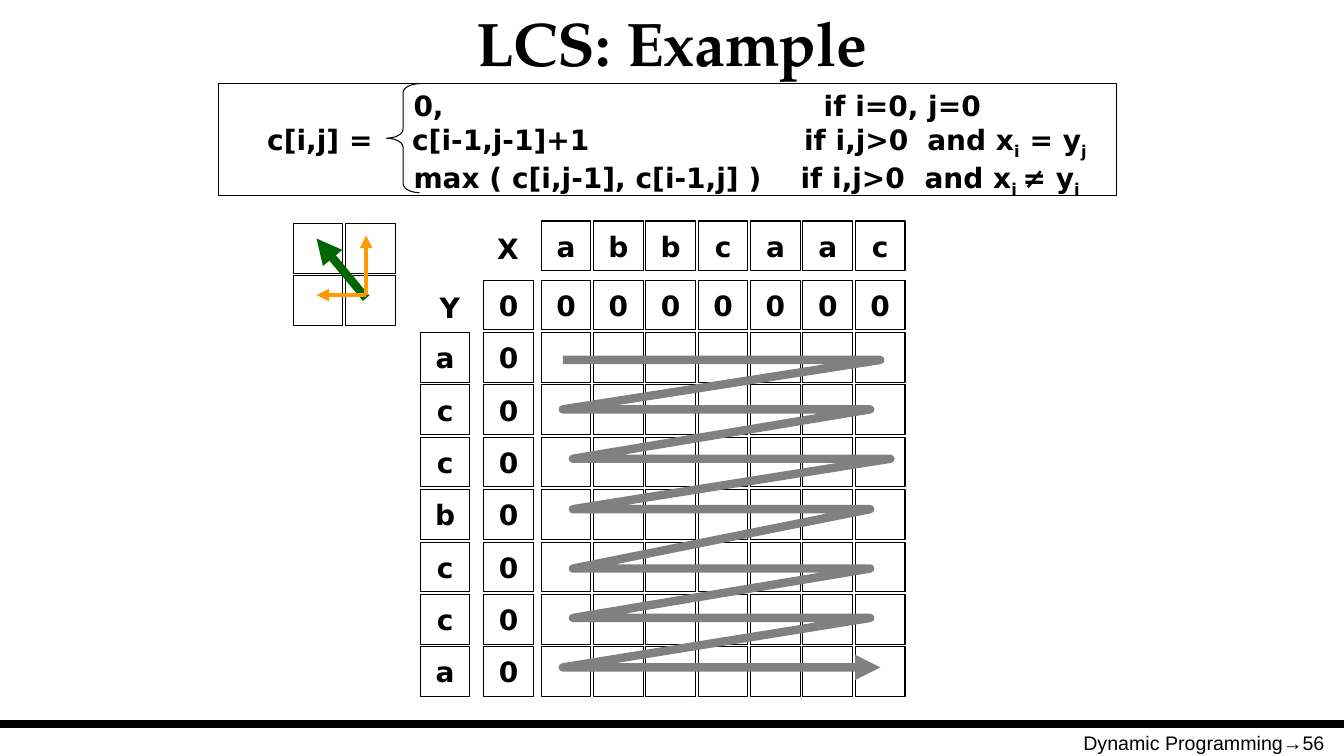
from dataclasses import dataclass

from lxml import etree
from pptx import Presentation
from pptx.dml.color import RGBColor
from pptx.enum.shapes import MSO_CONNECTOR, MSO_SHAPE
from pptx.enum.text import MSO_ANCHOR, PP_ALIGN
from pptx.oxml.ns import qn
from pptx.util import Pt

RECT, BRACE = MSO_SHAPE.RECTANGLE, MSO_SHAPE.LEFT_BRACE
STRAIGHT = MSO_CONNECTOR.STRAIGHT
LEFT, CENTER, RIGHT = PP_ALIGN.LEFT, PP_ALIGN.CENTER, PP_ALIGN.RIGHT
TOP, MIDDLE = MSO_ANCHOR.TOP, MSO_ANCHOR.MIDDLE


@dataclass(frozen=True)
class Theme:
    ink: str = "000000"
    diagonal: str = "006600"
    side: str = "FF9900"
    route: str = "808080"
    title_font: str = "TeX Gyre Pagella"
    body_font: str = "DejaVu Sans"
    footer_font: str = "Arial"
    title_size: float = 44
    body_size: float = 20
    footer_size: float = 14
    thin: float = 0.75
    medium: float = 3
    thick: float = 6


T = Theme()
CELL = 35.5
PITCH = 37.4


def write(p, text, size=T.body_size, font=T.body_font, bold=True, sub=False):
    r = p.add_run()
    r.text = text
    r.font.size, r.font.name, r.font.bold = Pt(size), font, bold
    r.font.color.rgb = RGBColor.from_string(T.ink)
    if sub:
        r.font._element.set("baseline", "-25000")


def fill_text(sp, text, align=CENTER, anchor=MIDDLE, wrap=False, **fmt):
    tf = sp.text_frame
    tf.word_wrap, tf.vertical_anchor = wrap, anchor
    p = tf.paragraphs[0]
    p.alignment = align
    write(p, text, **fmt)


def label(s, box, text, **fmt):
    fill_text(s.shapes.add_textbox(*map(Pt, box)), text, **fmt)


def set_line(sp, color, width, arrow=False):
    sp.line.color.rgb = RGBColor.from_string(color)
    sp.line.width = Pt(width)
    if arrow:
        ln = sp.line._get_or_add_ln()
        etree.SubElement(ln, qn("a:round"))
        etree.SubElement(ln, qn("a:tailEnd"), type="triangle")


def outline(s, kind, box):
    sp = s.shapes.add_shape(kind, *map(Pt, box))
    sp.shadow.inherit = False
    sp.fill.background()
    set_line(sp, T.ink, T.thin)
    return sp


def cell(s, x, y, text=""):
    sp = outline(s, RECT, (x, y, CELL, CELL))
    if text:
        fill_text(sp, text)


def connect(s, start, end, color, width, arrow=False):
    cx = s.shapes.add_connector(STRAIGHT, *map(Pt, start + end))
    set_line(cx, color, width, arrow)
    etree.SubElement(cx._element.spPr, qn("a:effectLst"))


def footer(s, x, y, w, h):
    connect(s, (x, y), (x + w, y), T.ink, T.thick)
    label(s, (x + 689.8, y + 1.4, 263.5, h), "Dynamic Programming→56", align=RIGHT,
          anchor=TOP, wrap=True, size=T.footer_size, font=T.footer_font, bold=False)


def formula(s, x, y, w, h):
    sp = outline(s, RECT, (x, y, w, h))
    tf = sp.text_frame
    tf.word_wrap, tf.vertical_anchor = True, TOP
    # Tab stops, then text pieces alternating normal and subscript
    rows = [
        ((132.5, 425.5), ["\t0,\tif i=0, j=0"]),
        ((28, 131.5, 411.5, 499.5),
         ["\tc[i,j] =\tc[i-1,j-1]+1\tif i,j>0\tand x", "i", " = y", "j"]),
        ((132.5, 409, 497.5),
         ["\tmax ( c[i,j-1], c[i-1,j] )\tif i,j>0\tand x", "i ", "≠ y", "i"]),
    ]
    for n, (stops, pieces) in enumerate(rows):
        p = tf.add_paragraph() if n else tf.paragraphs[0]
        p.alignment = LEFT
        tabs = etree.SubElement(p._p.get_or_add_pPr(), qn("a:tabLst"))
        for stop in stops:
            etree.SubElement(tabs, qn("a:tab"), pos=str(Pt(stop)), algn="l")
        for k, piece in enumerate(pieces):
            write(p, piece, sub=k % 2 == 1)
    brace = outline(s, BRACE, (x + 120.2, y, 23.8, h - 2.2))
    brace.adjustments[0], brace.adjustments[1] = 0.27, 0.5


def moves(s, x, y):
    for row in range(2):
        for col in range(2):
            cell(s, x + col * PITCH, y + row * PITCH)
    connect(s, (x + 52, y + 53.4), (x + 16.6, y + 10.8), T.diagonal, T.thick, True)
    for dx, dy in ((52, 8.7), (16.6, 51.2)):
        connect(s, (x + 52, y + 51.2), (x + dx, y + dy), T.side, T.medium, True)


def matrix(s, x, y):
    zero_x, grid_x, grid_y = x + 45.4, x + 86.4, y + 42.3
    # Letters of X above, letters of Y at the left
    for col, letter in enumerate("abbcaac"):
        cell(s, grid_x + col * PITCH, y, letter)
    for row, letter in enumerate("accbcca", 1):
        cell(s, x, grid_y + row * PITCH, letter)
    # Zero border and empty cells
    for row in range(8):
        cell(s, zero_x, grid_y + row * PITCH, "0")
        for col in range(7):
            cell(s, grid_x + col * PITCH, grid_y + row * PITCH, "" if row else "0")
    # Filling order, one sweep per row: left, right, height
    sweeps = [(101.8, 328.6, 99.2), (101.8, 321.4, 134.5), (109, 335.8, 169.8),
              (109, 321.4, 205.8), (109, 321.4, 248.2), (109, 321.4, 283.5),
              (101.8, 328.6, 318.8)]
    points = [(Pt(x + dx), Pt(y + dy)) for a, b, dy in sweeps for dx in (a, b)]
    fb = s.shapes.build_freeform(*points[0])
    fb.add_line_segments(points[1:], close=False)
    route = fb.convert_to_shape()
    route.shadow.inherit = False
    route.fill.background()
    set_line(route, T.route, T.thick, True)
    # Sequence names
    for name, dx, dy in (("X", 47.8, 4.2), ("Y", 6.7, 46)):
        label(s, (x + dx, y + dy, 29.5, 31), name, align=LEFT, anchor=TOP)


def main():
    prs = Presentation()
    prs.slide_width, prs.slide_height = Pt(960), Pt(540)
    s = prs.slides.add_slide(prs.slide_layouts[6])
    footer(s, 0, 517, 960, 37.4)
    matrix(s, 300.2, 157.9)
    moves(s, 209.5, 159.6)
    label(s, (123.8, 5, 712.8, 50.4), "LCS: Example", wrap=True,
          size=T.title_size, font=T.title_font)
    formula(s, 155.8, 59.8, 641.5, 80)
    prs.save("out.pptx")


if __name__ == "__main__":
    main()
